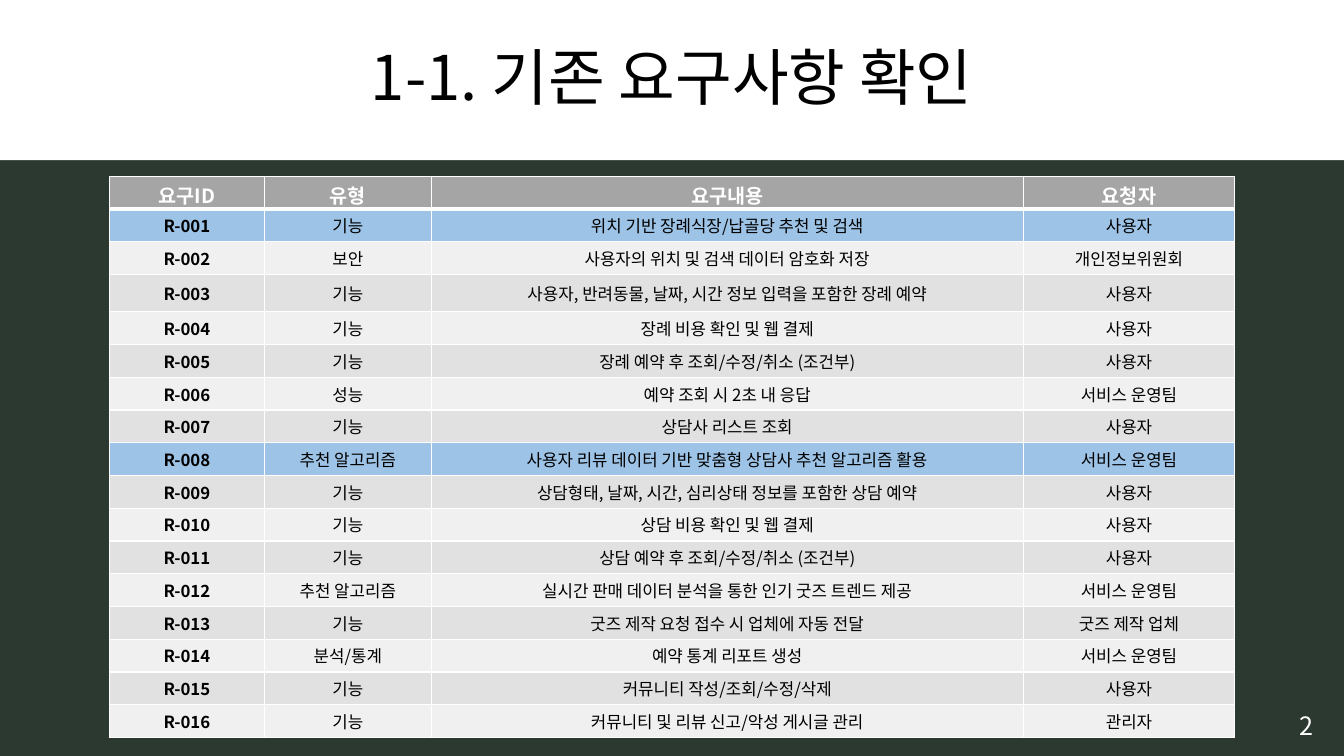
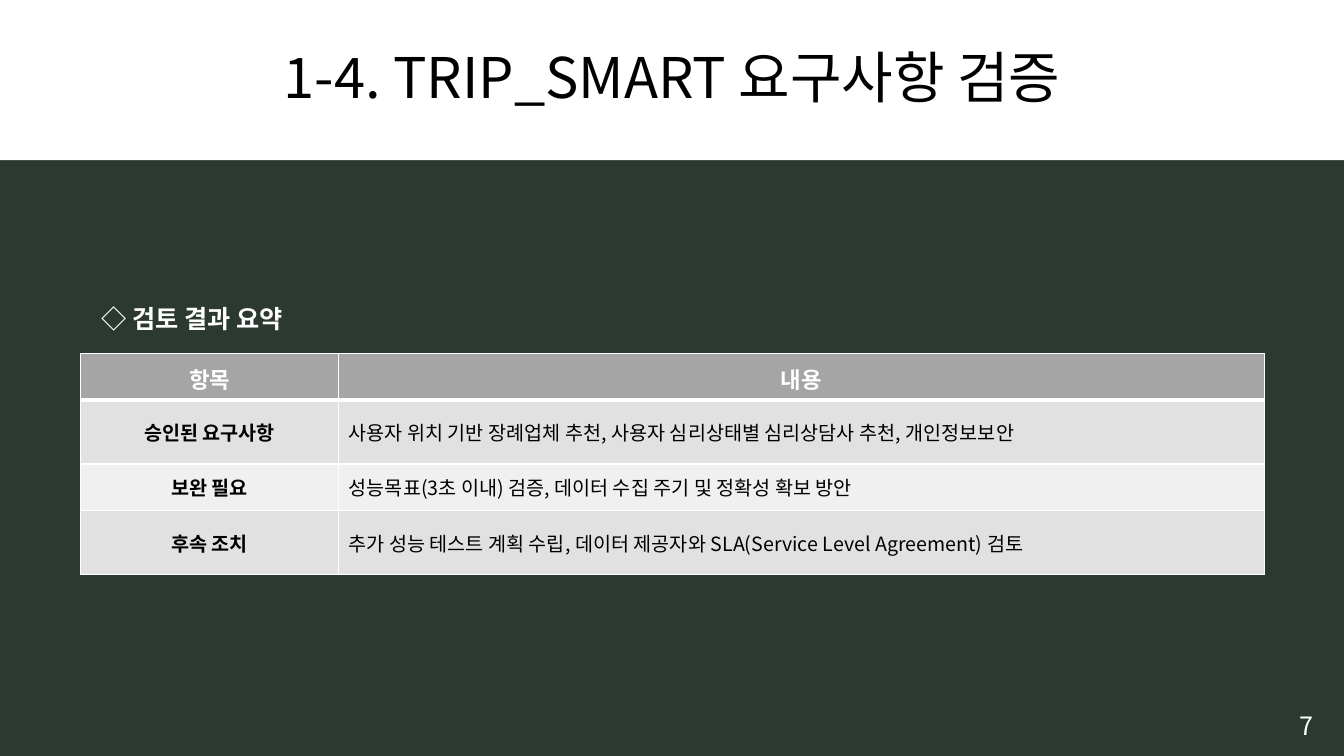
"""Build the requirement review and verification slides."""
from dataclasses import dataclass

from lxml import etree
from pptx import Presentation
from pptx.dml.color import RGBColor
from pptx.enum.text import MSO_ANCHOR, MSO_AUTO_SIZE, PP_ALIGN
from pptx.oxml.ns import qn
from pptx.util import Pt

CENTER, LEFT = PP_ALIGN.CENTER, PP_ALIGN.LEFT
MIDDLE = MSO_ANCHOR.MIDDLE
NO_FIT = MSO_AUTO_SIZE.NONE

FONT = "Noto Sans CJK KR"
GREEN = RGBColor(0x2C, 0x39, 0x30)
WHITE = RGBColor(0xFF, 0xFF, 0xFF)
BLACK = RGBColor(0x00, 0x00, 0x00)
HEADER = RGBColor(0xA5, 0xA5, 0xA5)
HIGHLIGHT = RGBColor(0x9D, 0xC3, 0xE6)
BANDS = (RGBColor(0xE1, 0xE1, 0xE1), RGBColor(0xF0, 0xF0, 0xF0))

SLIDE_W, SLIDE_H = 960, 540
TITLE_H = 114.5
TITLE_ONLY = 5


@dataclass(frozen=True)
class Grid:
    """Content and measures of one table, in points."""
    left: float
    top: float
    widths: tuple[float, ...]
    heights: tuple[float, ...]
    aligns: tuple[PP_ALIGN, ...]
    header_size: float
    body_size: float
    rows: list[tuple[str, ...]]
    highlights: tuple[int, ...] = ()


REQUIREMENTS = [
    ("기능", "위치 기반 장례식장/납골당 추천 및 검색", "사용자"),
    ("보안", "사용자의 위치 및 검색 데이터 암호화 저장", "개인정보위원회"),
    ("기능", "사용자, 반려동물, 날짜, 시간 정보 입력을 포함한 장례 예약", "사용자"),
    ("기능", "장례 비용 확인 및 웹 결제", "사용자"),
    ("기능", "장례 예약 후 조회/수정/취소 (조건부)", "사용자"),
    ("성능", "예약 조회 시 2초 내 응답", "서비스 운영팀"),
    ("기능", "상담사 리스트 조회", "사용자"),
    ("추천 알고리즘", "사용자 리뷰 데이터 기반 맞춤형 상담사 추천 알고리즘 활용", "서비스 운영팀"),
    ("기능", "상담형태, 날짜, 시간, 심리상태 정보를 포함한 상담 예약", "사용자"),
    ("기능", "상담 비용 확인 및 웹 결제", "사용자"),
    ("기능", "상담 예약 후 조회/수정/취소 (조건부)", "사용자"),
    ("추천 알고리즘", "실시간 판매 데이터 분석을 통한 인기 굿즈 트렌드 제공", "서비스 운영팀"),
    ("기능", "굿즈 제작 요청 접수 시 업체에 자동 전달", "굿즈 제작 업체"),
    ("분석/통계", "예약 통계 리포트 생성", "서비스 운영팀"),
    ("기능", "커뮤니티 작성/조회/수정/삭제", "사용자"),
    ("기능", "커뮤니티 및 리뷰 신고/악성 게시글 관리", "관리자"),
]

REQUIREMENT_GRID = Grid(
    left=78, top=126,
    widths=(111, 119, 423, 151),
    heights=(23.4,) * 3 + (26.6,) + (23.4,) * 13,
    aligns=(CENTER,) * 4,
    header_size=14, body_size=12,
    rows=[("요구ID", "유형", "요구내용", "요청자")]
    + [(f"R-{n:03}", *row) for n, row in enumerate(REQUIREMENTS, 1)],
    highlights=(1, 8),
)

SUMMARY_GRID = Grid(
    left=57.5, top=252.5,
    widths=(184.5, 661),
    heights=(33, 46, 33, 46),
    aligns=(CENTER, LEFT),
    header_size=16, body_size=14,
    rows=[
        ("항목", "내용"),
        ("승인된 요구사항", "사용자 위치 기반 장례업체 추천, 사용자 심리상태별 심리상담사 추천, 개인정보보안"),
        ("보완 필요", "성능목표(3초 이내) 검증, 데이터 수집 주기 및 정확성 확보 방안"),
        ("후속 조치", "추가 성능 테스트 계획 수립, 데이터 제공자와 SLA(Service Level Agreement) 검토"),
    ],
)


def write(tf, text: str, *, size: float, color: RGBColor = WHITE,
          bold: bool = False, align: PP_ALIGN = CENTER,
          spacing: float = 1.0) -> None:
    """Put one formatted paragraph into a text frame."""
    p = tf.paragraphs[0]
    p.alignment = align
    p.line_spacing = spacing
    r = p.add_run()
    r.text = text
    r.font.size = Pt(size)
    r.font.bold = bold
    r.font.color.rgb = color
    r.font.name = FONT
    etree.SubElement(r.font._element, qn("a:ea"), typeface=FONT)


def add_label(s, text: str, left: float, top: float, width: float,
              height: float, *, wrap: bool = True, **style) -> None:
    """Add a text box with one formatted line."""
    tf = s.shapes.add_textbox(Pt(left), Pt(top), Pt(width), Pt(height)).text_frame
    tf.word_wrap = wrap
    write(tf, text, **style)


def set_borders(cell, *, top: float = 1, bottom: float = 1) -> None:
    """Draw white borders around a table cell."""
    tc_pr = cell._tc.get_or_add_tcPr()
    for side, width in (("L", 1), ("R", 1), ("T", top), ("B", bottom)):
        ln = etree.SubElement(tc_pr, qn(f"a:ln{side}"), w=str(Pt(width)))
        fill = etree.SubElement(ln, qn("a:solidFill"))
        etree.SubElement(fill, qn("a:srgbClr"), val=str(WHITE))


def add_grid(s, grid: Grid) -> None:
    """Add a table with a header row and alternating body rows."""
    table = s.shapes.add_table(
        len(grid.rows), len(grid.widths), Pt(grid.left), Pt(grid.top),
        Pt(sum(grid.widths)), Pt(sum(grid.heights))).table
    table.horz_banding = False
    for column, width in zip(table.columns, grid.widths):
        column.width = Pt(width)
    for i, (row, height) in enumerate(zip(table.rows, grid.heights)):
        row.height = Pt(height)
        header = i == 0
        if header:
            color = HEADER
        else:
            color = HIGHLIGHT if i in grid.highlights else BANDS[(i - 1) % 2]
        for j, (cell, text) in enumerate(zip(row.cells, grid.rows[i])):
            set_borders(cell, top=3 if i == 1 else 1, bottom=3 if header else 1)
            cell.fill.solid()
            cell.fill.fore_color.rgb = color
            cell.vertical_anchor = MIDDLE
            cell.margin_top = Pt(3 if header else 2)
            cell.margin_bottom = Pt(0 if header else 2)
            write(cell.text_frame, text,
                  size=grid.header_size if header else grid.body_size,
                  color=WHITE if header else BLACK,
                  bold=header or j == 0,
                  align=CENTER if header else grid.aligns[j])


def add_slide(prs, title: str, title_size: float, number: int):
    """Add a slide with the white title band and a page number."""
    s = prs.slides.add_slide(prs.slide_layouts[TITLE_ONLY])
    sp = s.shapes.title
    sp.left, sp.top = Pt(0), Pt(0)
    sp.width, sp.height = Pt(SLIDE_W), Pt(TITLE_H)
    sp.fill.solid()
    sp.fill.fore_color.rgb = WHITE
    tf = sp.text_frame
    tf.auto_size = NO_FIT
    tf.vertical_anchor = MIDDLE
    write(tf, title, size=title_size, color=BLACK, spacing=0.9)
    add_label(s, str(number), 906.5, 503.5, 53.5, 29, size=18)
    return s


def main() -> None:
    """Build and save the presentation."""
    prs = Presentation()
    prs.slide_width, prs.slide_height = Pt(SLIDE_W), Pt(SLIDE_H)
    background = prs.slide_master.background.fill
    background.solid()
    background.fore_color.rgb = GREEN

    s = add_slide(prs, "1-1. 기존 요구사항 확인", 44, 2)
    add_grid(s, REQUIREMENT_GRID)

    s = add_slide(prs, "1-4. TRIP_SMART 요구사항 검증", 40, 7)
    add_label(s, "◇ 검토 결과 요약", 65.5, 213, 161.5, 29,
              wrap=False, size=18, bold=True, align=LEFT)
    add_grid(s, SUMMARY_GRID)

    prs.save("out.pptx")


if __name__ == "__main__":
    main()
